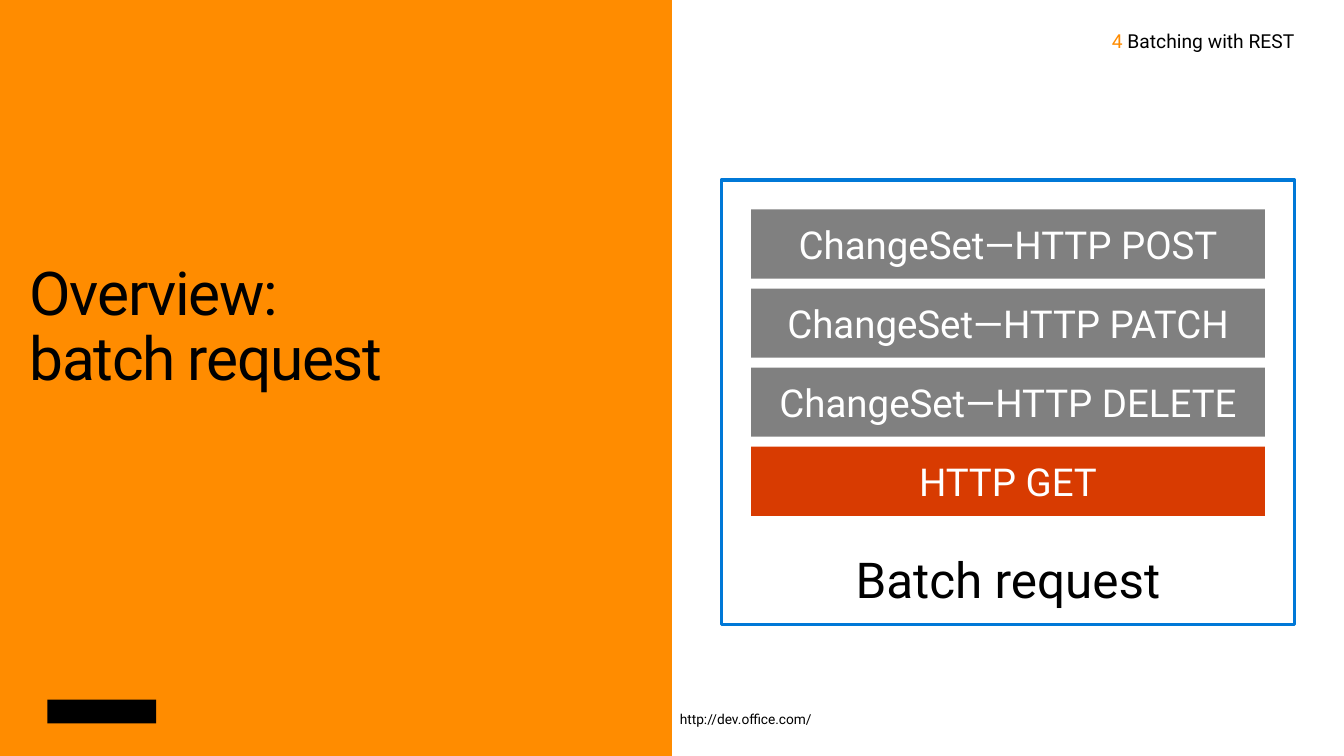
from pptx import Presentation
from pptx.dml.color import RGBColor
from pptx.enum.shapes import MSO_SHAPE
from pptx.enum.text import MSO_ANCHOR, MSO_AUTO_SIZE, PP_ALIGN
from pptx.util import Inches, Pt

WIDE, HIGH = 13.6, 7.65
HUES = {
    "orange": "FF8C00",
    "black": "000000",
    "white": "FFFFFF",
    "blue": "0078D7",
    "gray": "808080",
    "red": "D83B01",
}


def block(left, top, width, height, fill=None, line=None):
    """Add a flat rectangle; without a fill or line colour it stays open."""
    shape = slide.shapes.add_shape(
        MSO_SHAPE.RECTANGLE, *map(Inches, (left, top, width, height)))
    shape.shadow.inherit = False
    if fill:
        shape.fill.solid()
        shape.fill.fore_color.rgb = RGBColor.from_string(HUES[fill])
    else:
        shape.fill.background()
    if line:
        shape.line.color.rgb = RGBColor.from_string(HUES[line])
        shape.line.width = Pt(2.5)
    else:
        shape.line.fill.background()
    return shape


def write(shape, text, size, hue="black", align=PP_ALIGN.CENTER,
          anchor=MSO_ANCHOR.MIDDLE, pad=(0.1, 0.05, 0.1, 0.05),
          wrap=True, space=1.0, track=0):
    """Append text to the first paragraph; track is letter spacing in points."""
    frame = shape.text_frame
    frame.auto_size = MSO_AUTO_SIZE.NONE
    frame.word_wrap = wrap
    frame.vertical_anchor = anchor
    (frame.margin_left, frame.margin_top,
     frame.margin_right, frame.margin_bottom) = map(Inches, pad)
    para = frame.paragraphs[0]
    para.alignment = align
    para.line_spacing = space
    for row, line in enumerate(text.split("\n")):
        if row:
            para.add_line_break()
        run = para.add_run()
        run.text = line
        run.font.name = "Roboto"
        run.font.size = Pt(size)
        run.font.color.rgb = RGBColor.from_string(HUES[hue])
        if track:
            run.font._element.set("spc", str(track * 100))


deck = Presentation()
deck.slide_width, deck.slide_height = Inches(WIDE), Inches(HIGH)
slide = deck.slides.add_slide(deck.slide_layouts[5])

# Left half: coloured panel behind the title, with a plain mark at its foot
title = slide.shapes.title
panel = block(0, 0, WIDE / 2, HIGH, fill="orange")
title.element.addprevious(panel.element)
title.left, title.top, title.width, title.height = map(
    Inches, (0.3, 2.32, 6, 2))
write(title, "Overview:\nbatch request", 44, align=PP_ALIGN.LEFT,
      pad=(0, 0.05, 0, 0.05), space=0.9, track=-1)
block(0.48, 7.08, 1.1, 0.24, fill="black")

# Right half: the batch frame and its stacked requests
LEFT, TOP, INSET = 7.3, 1.82, 0.3
BAR, STEP = 0.7, 0.8
batch = block(LEFT, TOP, 5.8, 4.5, line="blue")
write(batch, "Batch request", 36, anchor=MSO_ANCHOR.BOTTOM,
      pad=(0.2, 0.16, 0.2, 0.16))
calls = [
    ("ChangeSet—HTTP POST", "gray"),
    ("ChangeSet—HTTP PATCH", "gray"),
    ("ChangeSet—HTTP DELETE", "gray"),
    ("HTTP GET", "red"),
]
for row, (text, fill) in enumerate(calls):
    bar = block(LEFT + INSET, TOP + INSET + row * STEP,
                5.8 - 2 * INSET, BAR, fill=fill)
    write(bar, text, 28, hue="white")

# Section label and web address
label = slide.shapes.add_textbox(*map(Inches, (8.71, 0.21, 4.59, 0.41)))
for text, hue in (("4", "orange"), (" Batching with REST", "black")):
    write(label, text, 14, hue=hue, align=PP_ALIGN.RIGHT,
          pad=(0.1, 0.05, 0.2, 0.05))
site = slide.shapes.add_textbox(*map(Inches, (6.72, 7.11, 1.66, 0.35)))
write(site, "http://dev.office.com/", 10, align=PP_ALIGN.LEFT,
      anchor=MSO_ANCHOR.TOP, pad=(0.16, 0.1, 0.16, 0.1),
      wrap=False, space=0.9)

deck.save("out.pptx")
